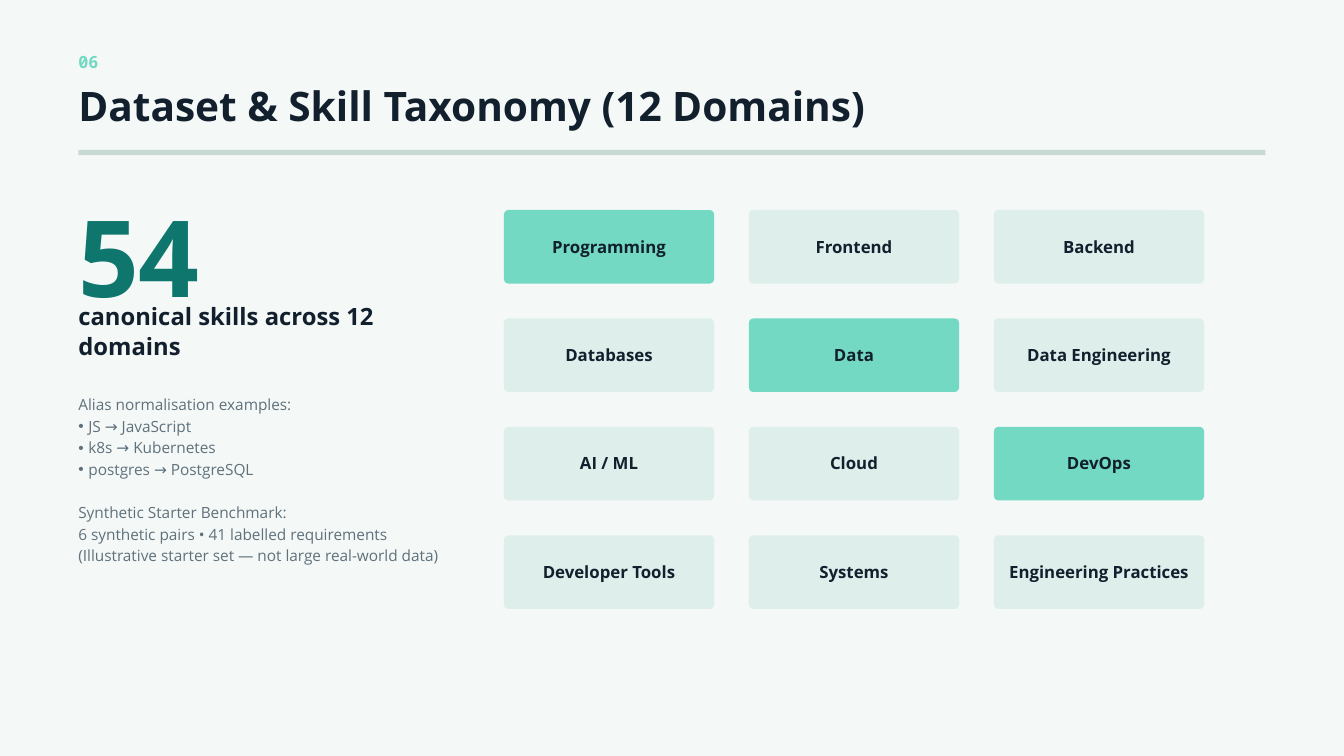
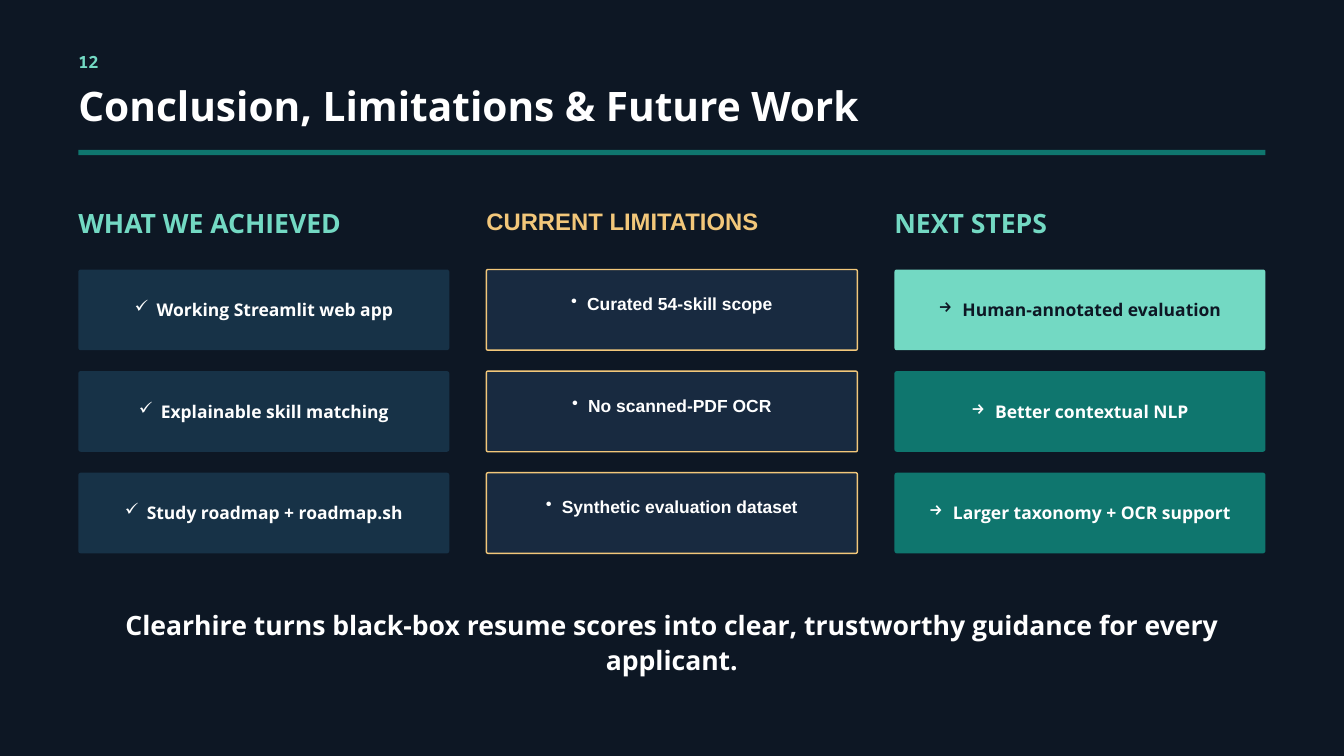
from lxml.etree import SubElement
from pptx import Presentation
from pptx.dml.color import RGBColor
from pptx.enum.shapes import MSO_SHAPE as Shape
from pptx.enum.text import MSO_ANCHOR as Anchor, MSO_AUTO_SIZE as Fit, PP_ALIGN as Align
from pptx.oxml.ns import qn
from pptx.util import Cm, Pt

HEX = {
    "paper": "F4F8F7", "night": "0D1724", "ink": "12202E", "white": "FFFFFF",
    "mint": "73D9C3", "teal": "0F766E", "pale": "DEEEEB", "mist": "C9D9D6",
    "slate": "60717C", "navy": "173247", "dusk": "182A40", "amber": "F2C77A",
}

# font, size, line height, bold
TYPE = {
    "number": ("Noto Sans Mono", 18, 23.4, True),
    "title": ("Open Sans", 43.5, 47, True),
    "figure": ("Open Sans", 114, 148.2, True),
    "caption": ("Open Sans", 25.5, 33.1, True),
    "note": ("Open Sans", 16.5, 23.1, False),
    "domain": ("Open Sans", 18, 20.7, True),
    "head": ("Open Sans", 28.5, 37, True),
    "card": ("Open Sans", 18.75, 21.6, True),
    "limit head": ("Arial", 25.5, 35.7, True),
    "limit": ("Arial", 18.75, 26.2, True),
}

LEFT, WIDE = 2.96, 44.87

DOMAINS = [
    ["Programming", "Frontend", "Backend"],
    ["Databases", "Data", "Data Engineering"],
    ["AI / ML", "Cloud", "DevOps"],
    ["Developer Tools", "Systems", "Engineering Practices"],
]

ALIASES = ["JS → JavaScript", "k8s → Kubernetes", "postgres → PostgreSQL"]
BENCH = [
    "Synthetic Starter Benchmark:",
    "6 synthetic pairs • 41 labelled requirements",
    "(Illustrative starter set — not large real-world data)",
]


def color(name):
    return RGBColor.from_string(HEX[name])


def place(shape, box):
    shape.left, shape.top, shape.width, shape.height = map(Cm, box)


def set_mark(para, char=None, gap=0):
    """Give a paragraph a hanging bullet, or none."""
    props = para._p.get_or_add_pPr()
    props.set("marL", str(Cm(gap)))
    props.set("indent", str(-Cm(gap)))
    if char:
        SubElement(props, qn("a:buChar")).set("char", char)
    else:
        SubElement(props, qn("a:buNone"))


def style(para, kind, tone, align=Align.LEFT):
    name, size, lead, bold = TYPE[kind]
    para.alignment = align
    para.line_spacing = Pt(lead)
    para.space_before = para.space_after = Pt(0)
    for run in para.runs:
        font = run.font
        font.name, font.size, font.bold = name, Pt(size), bold
        font.color.rgb = color(tone)


def set_frame(frame, inset=0, anchor=Anchor.TOP):
    frame.word_wrap = True
    frame.auto_size = Fit.NONE
    frame.vertical_anchor = anchor
    frame.margin_left = frame.margin_right = Cm(inset)
    frame.margin_top = frame.margin_bottom = Cm(inset)


def add_label(slide, box, text, kind, tone, align=Align.LEFT):
    frame = slide.shapes.add_textbox(*map(Cm, box)).text_frame
    set_frame(frame)
    frame.text = text
    style(frame.paragraphs[0], kind, tone, align)


def add_block(slide, box, fill, radius=0, line=None):
    """Add a filled box; radius is a share of its shorter side."""
    kind = Shape.ROUNDED_RECTANGLE if radius else Shape.RECTANGLE
    block = slide.shapes.add_shape(kind, *map(Cm, box))
    block.shadow.inherit = False
    if radius:
        block.adjustments[0] = radius
    block.fill.solid()
    block.fill.fore_color.rgb = color(fill)
    if line:
        block.line.color.rgb = color(line)
        block.line.width = Pt(1.5)
    else:
        block.line.fill.background()
    return block


def add_card(slide, box, text, kind, fill, tone, radius, line=None, mark=None, drop=None):
    """Add a block with centred text; drop sets the text's distance from the top."""
    frame = add_block(slide, box, fill, radius, line).text_frame
    set_frame(frame, 0.16, Anchor.MIDDLE if drop is None else Anchor.TOP)
    if drop is not None:
        frame.margin_top = Cm(drop)
    frame.text = text
    para = frame.paragraphs[0]
    if mark:
        set_mark(para, *mark)
    style(para, kind, tone, Align.CENTER)


def start_slide(deck, layout, number, title, back, tone, rule):
    slide = deck.slides.add_slide(deck.slide_layouts[layout])
    slide.background.fill.solid()
    slide.background.fill.fore_color.rgb = color(back)
    add_label(slide, (LEFT, 1.9, 2.38, 0.82), number, "number", "mint")
    head = slide.shapes.title
    place(head, (LEFT, 3.25, 39.68, 1.7))
    set_frame(head.text_frame)
    head.text_frame.text = title
    style(head.text_frame.paragraphs[0], "title", tone)
    add_block(slide, (LEFT, 5.67, WIDE, 0.2), rule)
    return slide


def add_notes(body, box):
    place(body, box)
    frame = body.text_frame
    set_frame(frame)
    frame.text = "\n".join(["Alias normalisation examples:", *ALIASES, *BENCH])
    for para in frame.paragraphs:
        if para.text in ALIASES:
            set_mark(para, "•", 0.38)
        else:
            set_mark(para)
        style(para, "note", "slate")
        if para.text == BENCH[0]:
            para.space_before = Pt(TYPE["note"][2])


def add_summary(slide, box):
    x, y, w, h = box
    add_label(slide, (x, y, 9.53, 5.12), "54", "figure", "teal")
    add_label(slide, (x, y + 4.47, 14.28, 2.3), "canonical skills across 12 domains",
              "caption", "ink")
    add_notes(slide.placeholders[1], (x, y + 8, w, h - 8))


def add_grid(slide, box, gap=1.32):
    x, y, w, h = box
    rows, cols = len(DOMAINS), len(DOMAINS[0])
    wide = (w - gap * (cols - 1)) / cols
    high = (h - gap * (rows - 1)) / rows
    for r, row in enumerate(DOMAINS):
        for c, name in enumerate(row):
            spot = (x + c * (wide + gap), y + r * (high + gap), wide, high)
            fill = "mint" if r == c else "pale"
            add_card(slide, spot, name, "domain", fill, "ink", 0.06)


def add_column(slide, box, head, tone, items, fills, kind="card", lift=0, **look):
    """Add a heading over three cards; fills pairs each card's fill and text colour."""
    x, y, w, h = box
    head_kind = "limit head" if kind == "limit" else "head"
    add_label(slide, (x, y - lift, w, 1.27), head, head_kind, tone)
    high, gap = 3.05, 0.79
    top = y + h - 3 * high - 2 * gap
    for i, (item, (fill, ink)) in enumerate(zip(items, fills)):
        spot = (x, top + i * (high + gap), w, high)
        add_card(slide, spot, item, kind, fill, ink, **look)


def add_taxonomy(deck):
    slide = start_slide(deck, 1, "06", "Dataset & Skill Taxonomy (12 Domains)",
                        "paper", "ink", "mist")
    add_summary(slide, (LEFT, 6.83, 14.55, 14.35))
    add_grid(slide, (19.05, 7.94, 26.46, 15.08))


def add_closing(deck):
    slide = start_slide(deck, 5, "12", "Conclusion, Limitations & Future Work",
                        "night", "white", "teal")
    gap = 1.4
    wide = (WIDE - 2 * gap) / 3
    boxes = [(LEFT + i * (wide + gap), 7.72, wide, 13.2) for i in range(3)]
    add_column(slide, boxes[0], "WHAT WE ACHIEVED", "mint",
               ["Working Streamlit web app", "Explainable skill matching",
                "Study roadmap + roadmap.sh"],
               [("navy", "white")] * 3, radius=0.03, mark=("✓", 0.83))
    add_column(slide, boxes[1], "CURRENT LIMITATIONS", "amber",
               ["Curated 54-skill scope", "No scanned-PDF OCR",
                "Synthetic evaluation dataset"],
               [("dusk", "white")] * 3, kind="limit", lift=0.07,
               radius=0.02, line="amber", mark=("•", 0.6), drop=0.74)
    add_column(slide, boxes[2], "NEXT STEPS", "mint",
               ["Human-annotated evaluation", "Better contextual NLP",
                "Larger taxonomy + OCR support"],
               [("mint", "night")] + [("teal", "white")] * 2,
               radius=0.03, mark=("→", 0.9))
    add_label(slide, (LEFT, 22.94, WIDE, 2.57),
              "Clearhire turns black-box resume scores into clear, "
              "trustworthy guidance for every applicant.",
              "head", "white", Align.CENTER)


def main():
    deck = Presentation()
    deck.slide_width, deck.slide_height = Cm(50.8), Cm(28.58)
    add_taxonomy(deck)
    add_closing(deck)
    deck.save("out.pptx")


if __name__ == "__main__":
    main()
